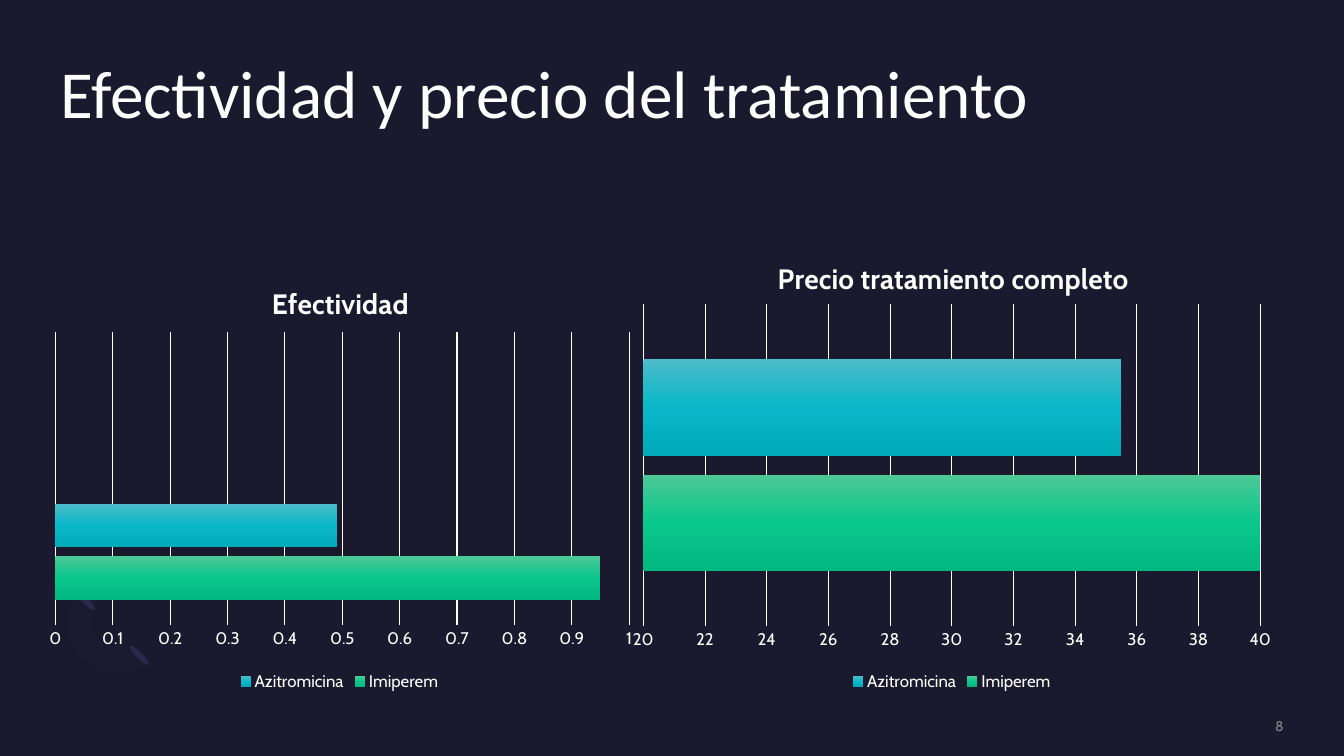
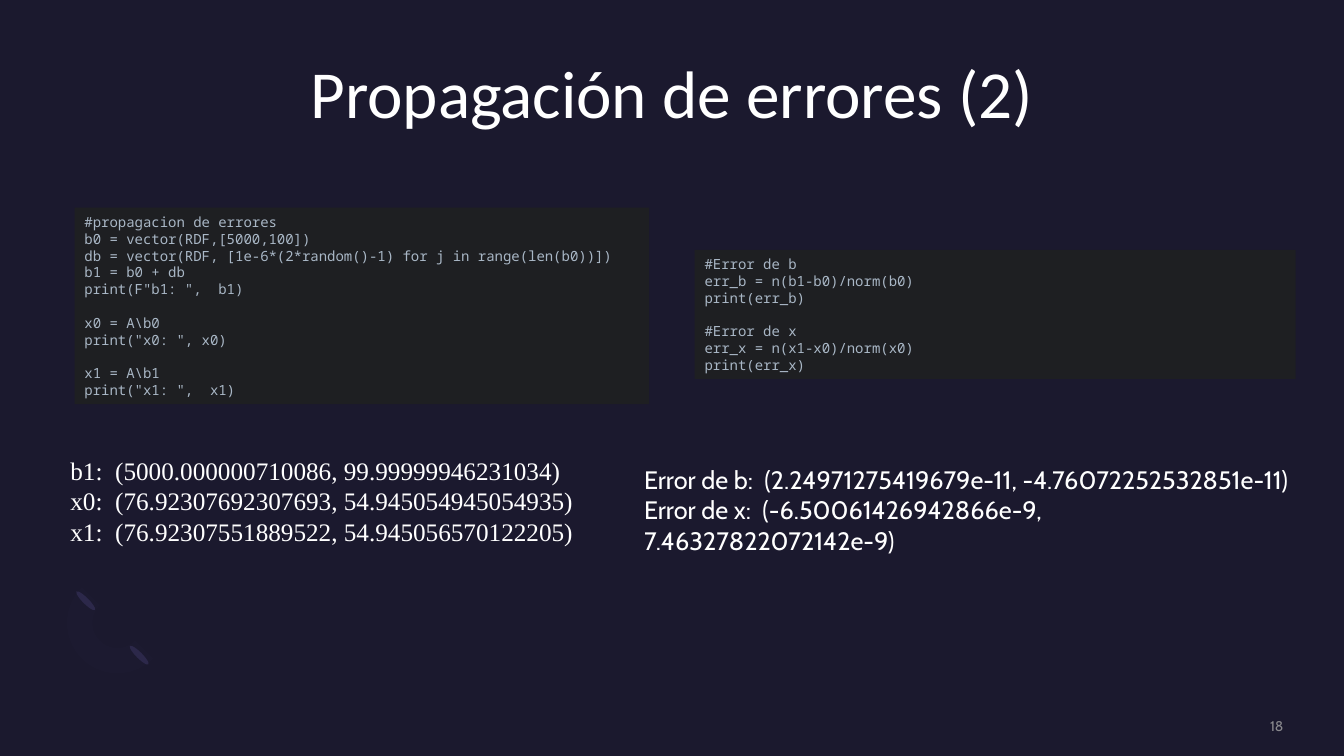
from copy import deepcopy
from dataclasses import dataclass
from math import cos, radians, sin

from lxml import etree
from pptx import Presentation
from pptx.chart.data import CategoryChartData
from pptx.dml.color import RGBColor
from pptx.enum.chart import XL_CHART_TYPE, XL_LEGEND_POSITION, XL_TICK_MARK
from pptx.enum.shapes import MSO_SHAPE
from pptx.enum.text import MSO_ANCHOR, MSO_AUTO_SIZE, PP_ALIGN
from pptx.oxml.ns import qn
from pptx.util import Inches, Pt

LEFT, MID, RIGHT = PP_ALIGN.LEFT, PP_ALIGN.CENTER, PP_ALIGN.RIGHT
TOP, CENTER = MSO_ANCHOR.TOP, MSO_ANCHOR.MIDDLE
BAR, BOTTOM = XL_CHART_TYPE.BAR_CLUSTERED, XL_LEGEND_POSITION.BOTTOM
NO_TICK, NO_FIT = XL_TICK_MARK.NONE, MSO_AUTO_SIZE.NONE
RECT, OVAL = MSO_SHAPE.RECTANGLE, MSO_SHAPE.OVAL


@dataclass(frozen=True)
class Theme:
    back: str = "1B192E"
    ink: str = "FFFFFF"
    petal: str = "2C284A"
    ring: str = "7771B2"
    panel: str = "1E1F22"
    code: str = "A9B7C6"
    page: str = "A6A6A6"
    green: tuple = ("4CC997", "0AC78C", "02B880")
    cyan: tuple = ("4CBCCA", "09B8C8", "01AAB9")
    head: str = "Calibri"
    body: str = "Cabin"
    mono: str = "Noto Sans Mono"
    serif: str = "Times New Roman"
    huge: int = 48
    large: int = 20
    text: int = 18
    label: int = 12
    small: int = 10


LOOK = Theme()


def rgb(code):
    return RGBColor.from_string(code)


def fade(root, share):
    """Set the opacity, in percent, of every colour below root."""
    for tint in root.iter(qn("a:srgbClr")):
        etree.SubElement(tint, qn("a:alpha"), val=str(share * 1000))


def style(font, size, face=LOOK.body, color=LOOK.ink, bold=False):
    font.size, font.name, font.bold = Pt(size), face, bold
    font.color.rgb = rgb(color)


def put(frame, *lines, size=LOOK.text, face=LOOK.body, color=LOOK.ink,
        align=LEFT, anchor=TOP, inset=None, space=None):
    """Write one paragraph per line; newlines inside become line breaks."""
    frame.word_wrap, frame.auto_size = True, NO_FIT
    frame.vertical_anchor = anchor
    if inset is not None:
        frame.margin_left = frame.margin_right = inset
        frame.margin_top = frame.margin_bottom = inset
    for rank, line in enumerate(lines):
        para = frame.add_paragraph() if rank else frame.paragraphs[0]
        para.text, para.alignment = line, align
        if space:
            para.line_spacing = space
        for run in para.runs:
            style(run.font, size, face, color)
        # Breaks take the format of the text, so empty code lines keep its height
        props = para.runs[0].font._element
        for gap in para._p.findall(qn("a:br")):
            gap.append(deepcopy(props))


def place(root, *share):
    """Give a chart part a fixed place, in shares of the chart."""
    old = root.find(qn("c:layout"))
    if old is None:
        old = etree.Element(qn("c:layout"))
        root.insert(1 if root.tag == qn("c:title") else 0, old)
    for item in list(old):
        old.remove(item)
    hand = etree.SubElement(old, qn("c:manualLayout"))
    if len(share) == 4:
        etree.SubElement(hand, qn("c:layoutTarget"), val="inner")
    for name in ("xMode", "yMode"):
        etree.SubElement(hand, qn("c:" + name), val="edge")
    for name, part in zip("xywh", share):
        etree.SubElement(hand, qn("c:" + name), val=str(part))


class Deck:
    """Holds the file, its style and the current slide; places are in percent."""

    def __init__(self):
        self.file = Presentation()
        self.file.slide_width = Inches(13.33)
        self.file.slide_height = Inches(7.5)
        self.frame = self.file.slide_layouts[5]
        fill = self.file.slide_master.background.fill
        fill.solid()
        fill.fore_color.rgb = rgb(LOOK.back)
        head = self.frame.placeholders[0]
        head.left, head.top, head.width, head.height = self.box(4.5, 8, 91, 19.47)
        self.slide = None

    def box(self, x, y, w, h):
        wide, high = self.file.slide_width, self.file.slide_height
        return [int(part * full / 100)
                for part, full in zip((x, y, w, h), (wide, high) * 2)]

    def start(self, title, page, align=LEFT):
        first = self.slide is None
        self.slide = self.file.slides.add_slide(self.frame)
        if first:
            self.adorn()
        put(self.slide.shapes.title.text_frame, title, size=LOOK.huge,
            face=LOOK.head, align=align, inset=0, space=0.9)
        note = self.text((81.62, 94.93, 13.88, 2.27), str(page), size=LOOK.small,
                         color=LOOK.page, align=RIGHT, anchor=CENTER, inset=0)
        fade(note.element, 80)

    def paint(self, shape, color):
        shape.shadow.inherit = False
        shape.fill.solid()
        shape.fill.fore_color.rgb = rgb(color)
        shape.line.fill.background()
        return shape

    def shape(self, kind, area, color):
        return self.paint(self.slide.shapes.add_shape(kind, *self.box(*area)), color)

    def adorn(self):
        """Draw the corner flower once and move it to the layout."""
        parts = []
        # Half ring, from lower right round to upper left
        x, y, outer, inner = self.box(8.74, 82.4, 0, 0)[:2] + [Inches(0.5), Inches(0.25)]
        turns = range(45, 226, 10)
        arc = [(outer, turn) for turn in turns]
        arc += [(inner, turn) for turn in reversed(turns)]
        spots = [(x + int(size * cos(radians(turn))), y + int(size * sin(radians(turn))))
                 for size, turn in arc]
        pen = self.slide.shapes.build_freeform(*spots[0])
        pen.add_line_segments(spots[1:], close=True)
        ring = self.paint(pen.convert_to_shape(), LOOK.ring)
        fade(ring.element.spPr, 2)
        parts.append(ring)
        # Petals at the two ends
        for left, top in ((10.13, 84.93), (6.15, 77.73)):
            petal = self.shape(OVAL, (left, top, 0.45, 3.47), LOOK.petal)
            petal.rotation = 135
            parts.append(petal)
        for rank, part in enumerate(parts):
            part.element.find(".//" + qn("p:cNvPr")).set("id", str(90 + rank))
            self.frame.shapes.element.insert(2 + rank, part.element)

    def text(self, area, *lines, **form):
        note = self.slide.shapes.add_textbox(*self.box(*area))
        put(note.text_frame, *lines, **form)
        return note

    def code(self, area, text):
        panel = self.shape(RECT, area, LOOK.panel)
        put(panel.text_frame, text, size=LOOK.small, face=LOOK.mono,
            color=LOOK.code, anchor=CENTER)

    def chart(self, area, title, cats, rows, span, spot, plot):
        data = CategoryChartData()
        data.categories = cats
        for name, vals, _ in rows:
            data.add_series(name, vals)
        chart = self.slide.shapes.add_chart(BAR, *self.box(*area), data).chart
        style(chart.font, LOOK.small)
        # Title and legend
        chart.has_title = True
        chart.chart_title.include_in_layout = False
        frame = chart.chart_title.text_frame
        frame.text = title
        style(frame.paragraphs[0].runs[0].font, LOOK.large, bold=True)
        place(chart.chart_title._element, *spot)
        chart.has_legend = True
        chart.legend.position = BOTTOM
        chart.legend.include_in_layout = False
        style(chart.legend.font, LOOK.label)
        # Axes
        chart.category_axis.visible = False
        axis = chart.value_axis
        axis.minimum_scale, axis.maximum_scale, axis.major_unit = span
        axis.major_tick_mark = axis.minor_tick_mark = NO_TICK
        axis.format.line.fill.background()
        axis.has_major_gridlines = True
        grid = axis.major_gridlines.format.line
        grid.width, grid.color.rgb = Pt(0.75), rgb(LOOK.ink)
        style(axis.tick_labels.font, LOOK.label)
        axis.tick_labels.number_format = "General"
        axis.tick_labels.number_format_is_linked = False
        # Bars
        bars = chart.plots[0]
        bars.gap_width, bars.overlap, bars.vary_by_categories = 115, -20, False
        place(chart._chartSpace.find(".//" + qn("c:plotArea")), *plot)
        for one, (_, _, tones) in zip(bars.series, rows):
            one.format.fill.gradient()
            one.format.fill.gradient_angle = 270
            stops = one._element.find(".//" + qn("a:gsLst"))
            for old in list(stops):
                stops.remove(old)
            for rank, tone in enumerate(tones):
                stop = etree.SubElement(stops, qn("a:gs"), pos=str(rank * 50000))
                etree.SubElement(stop, qn("a:srgbClr"), val=tone)


ERRORS = r'''#propagacion de errores
b0 = vector(RDF,[5000,100])
db = vector(RDF, [1e-6*(2*random()-1) for j in range(len(b0))])
b1 = b0 + db
print(F"b1: ",  b1)

x0 = A\b0
print("x0: ", x0)

x1 = A\b1
print("x1: ",  x1)'''

NORMS = '''#Error de b
err_b = n(b1-b0)/norm(b0)
print(err_b)

#Error de x
err_x = n(x1-x0)/norm(x0)
print(err_x)'''


def main():
    deck = Deck()

    # Effect and price
    deck.start("Efectividad y precio del tratamiento", 8)
    deck.chart((2.78, 34, 44.94, 58), "Efectividad", ["1", "2"],
               [("Imiperem", [0.95, None], LOOK.green),
                ("Azitromicina", [0.49, None], LOOK.cyan)],
               (0, 1, 0.1), (0.38, 0.05), (0.03, 0.17, 0.95, 0.67))
    deck.chart((46.14, 31.07, 49.36, 60.93), "Precio tratamiento completo", ["1"],
               [("Imiperem", [40.1], LOOK.green),
                ("Azitromicina", [35.5], LOOK.cyan)],
               (20, 40, 2), (0.23, 0.04), (0.035, 0.15, 0.93, 0.7))

    # Error growth: code above, results below
    deck.start("Propagación de errores (2)", 18, align=MID)
    deck.code((5.55, 27.47, 42.75, 26), ERRORS)
    deck.text((4.5, 59.6, 50, 13.47),
              "b1:  (5000.000000710086, 99.99999946231034)",
              "x0:  (76.92307692307693, 54.945054945054935)",
              "x1:  (76.92307551889522, 54.945056570122205)", face=LOOK.serif)
    deck.code((51.69, 33.07, 44.71, 17.07), NORMS)
    deck.text((47.19, 60.8, 50, 9.47),
              "Error de b:  (2.24971275419679e-11, -4.76072252532851e-11)",
              "Error de x:  (-6.50061426942866e-9, 7.46327822072142e-9)")

    deck.file.save("out.pptx")


if __name__ == "__main__":
    main()
